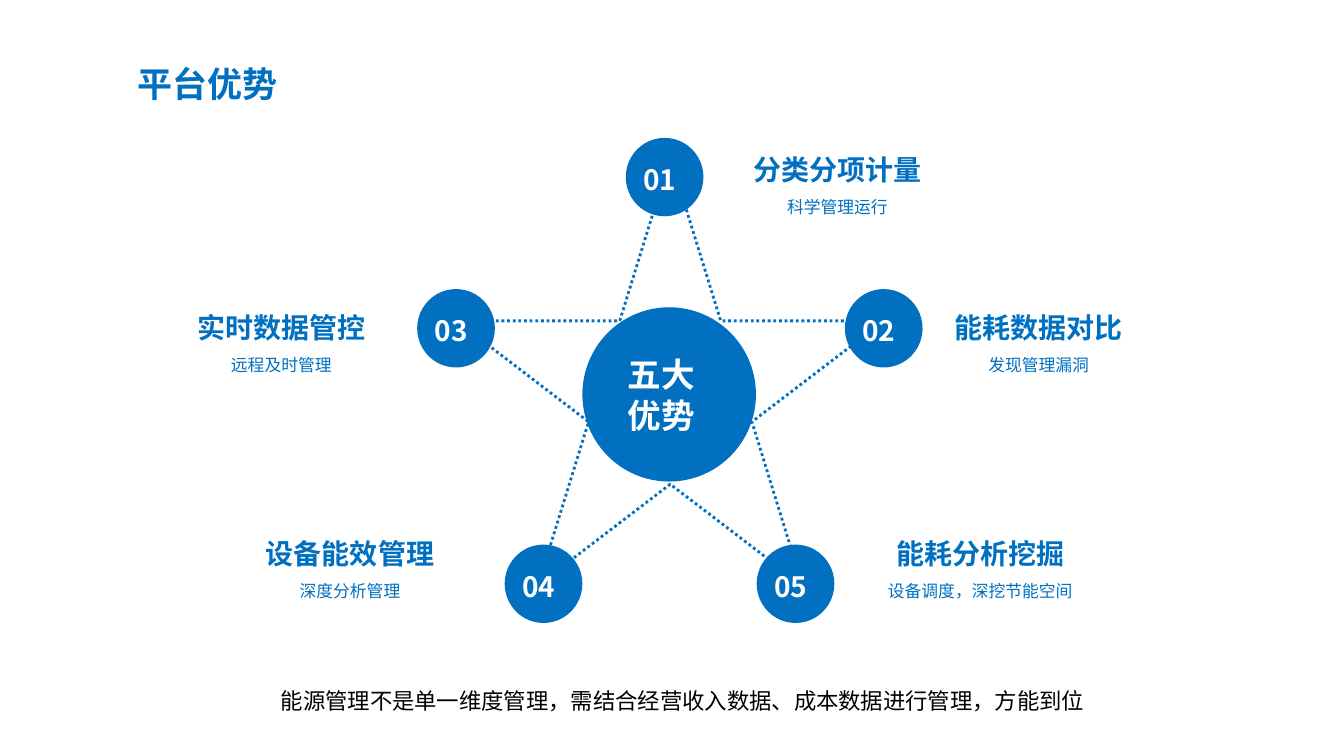
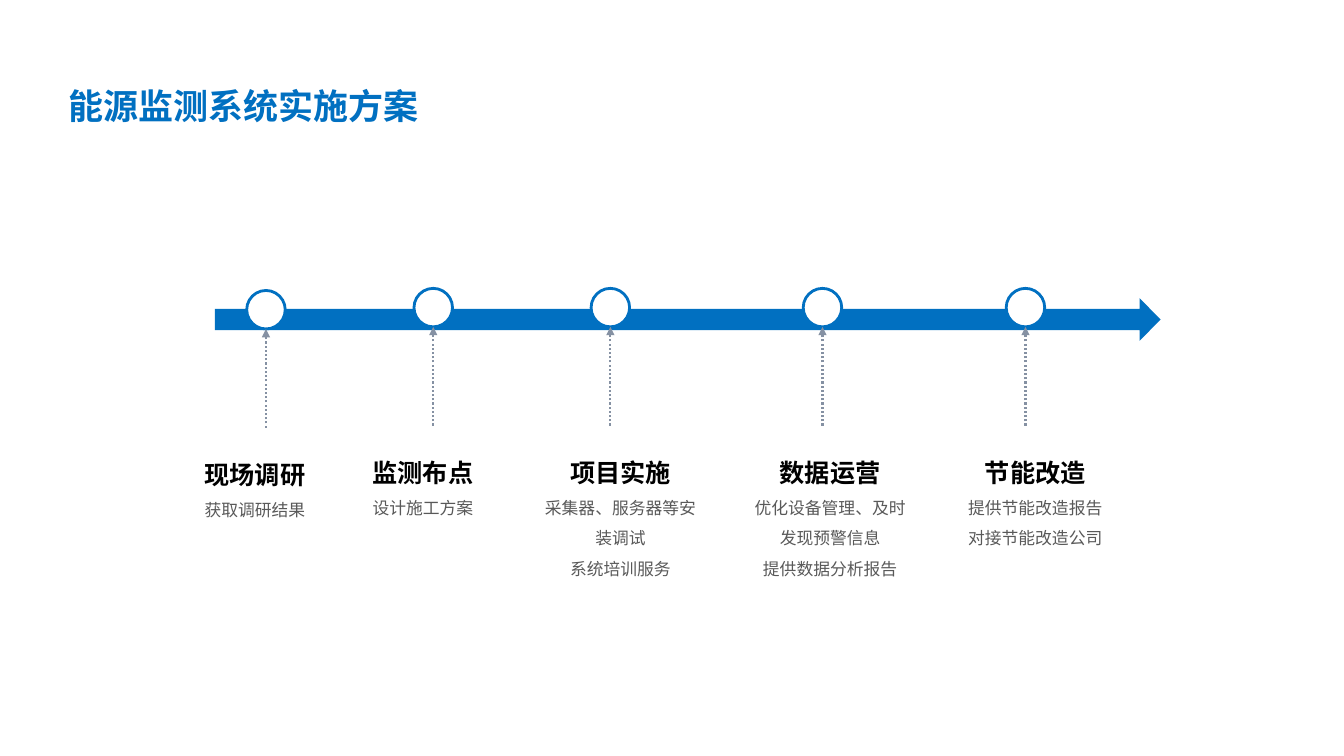
"""Build two slides on an energy management platform: its strengths and its rollout."""
from dataclasses import dataclass
from typing import Any

import lxml.etree
import pptx
import pptx.dml.color
import pptx.enum.dml
import pptx.enum.shapes
import pptx.enum.text
import pptx.oxml.ns
import pptx.shapes.autoshape
import pptx.slide
import pptx.text.text
import pptx.util

Pt = pptx.util.Pt
RGBColor = pptx.dml.color.RGBColor
Shape = pptx.enum.shapes.MSO_SHAPE
Align = pptx.enum.text.PP_ALIGN
Anchor = pptx.enum.text.MSO_ANCHOR
Area = tuple[float, float, float, float]

BLUE = RGBColor(0x01, 0x70, 0xC1)
WHITE = RGBColor(0xFF, 0xFF, 0xFF)
BLACK = RGBColor(0x00, 0x00, 0x00)
GREY = RGBColor(0x59, 0x59, 0x59)
SLATE = RGBColor(0x85, 0x91, 0xA3)
CJK, LATIN, DISPLAY = "Noto Sans CJK SC", "Calibri", "Montserrat"
DOTTED = pptx.enum.dml.MSO_LINE.ROUND_DOT
TITLE_ONLY = 5

BADGE_WIDTH, BADGE_HEIGHT = 55.5, 56
CAPTION_HEIGHT = 65.5
MARKER_SIZE = 27.5
MARKER_TOP = 206
ARROW_LENGTH = 70.5
STEP_CAPTION_DROP = 106.5


@dataclass(frozen=True)
class TextStyle:
    size: float
    color: RGBColor
    font: str = LATIN
    bold: bool = False
    align: Any = Align.CENTER
    spacing: float = 1.0


@dataclass(frozen=True)
class Advantage:
    number: str
    badge: tuple[float, float]
    caption: tuple[float, float, float]
    heading: str
    detail: str


@dataclass(frozen=True)
class Step:
    center: float
    caption_left: float
    caption_width: float
    heading: str
    details: tuple[str, ...]
    align: Any = Align.CENTER
    drop: float = 0


TITLE = TextStyle(25, BLUE, CJK, True, Align.LEFT)
BADGE = TextStyle(20, WHITE, CJK, True)
HUB = TextStyle(24, WHITE, DISPLAY, True)
HEADING = TextStyle(20, BLUE, bold=True, spacing=1.5)
DETAIL = TextStyle(12, BLUE, spacing=1.5)
SUMMARY = TextStyle(16, BLACK, CJK, align=Align.LEFT, spacing=1.2)

ADVANTAGES = (
    Advantage("01", (447, 98.5), (515.5, 93.5, 165.5), "分类分项计量", "科学管理运行"),
    Advantage("02", (603.5, 206.5), (660, 206.5, 164), "能耗数据对比", "发现管理漏洞"),
    Advantage("03", (298, 206.5), (109.5, 206.5, 183), "实时数据管控", "远程及时管理"),
    Advantage("04", (360.5, 389), (145.5, 368, 209), "设备能效管理", "深度分析管理"),
    Advantage("05", (540.5, 389), (603.5, 368, 193.5), "能耗分析挖掘", "设备调度，深挖节能空间"),
)

STEPS = (
    Step(190, 139, 101.5, "现场调研", ("获取调研结果",), Align.LEFT, 1.5),
    Step(309.5, 259, 101.5, "监测布点", ("设计施工方案",), Align.LEFT),
    Step(436, 378, 130.5, "项目实施", ("采集器、服务器等安装调试", "系统培训服务")),
    Step(587.5, 526.5, 133, "数据运营", ("优化设备管理、及时发现预警信息", "提供数据分析报告")),
    Step(732.5, 670.5, 138, "节能改造", ("提供节能改造报告", "对接节能改造公司")),
)


def apply_format(target: Any, values: dict[str, Any]) -> None:
    """Set every named attribute on the target."""
    for name, value in values.items():
        setattr(target, name, value)


def write_lines(frame: pptx.text.text.TextFrame, lines: list[tuple[str, TextStyle]],
                margins: Area = (7.2, 3.6, 7.2, 3.6), anchor: Any = Anchor.MIDDLE,
                wrap: bool = True) -> None:
    """Fill a text frame with one styled paragraph per line."""
    left, top, right, bottom = map(Pt, margins)
    apply_format(frame, {
        "auto_size": pptx.enum.text.MSO_AUTO_SIZE.NONE, "word_wrap": wrap,
        "vertical_anchor": anchor, "margin_left": left, "margin_top": top,
        "margin_right": right, "margin_bottom": bottom})
    for index, (text, style) in enumerate(lines):
        para = frame.add_paragraph() if index else frame.paragraphs[0]
        apply_format(para, {"alignment": style.align, "line_spacing": style.spacing,
                            "space_before": Pt(0)})
        span = para.add_run()
        span.text = text
        apply_format(span.font, {"size": Pt(style.size), "bold": style.bold, "name": style.font})
        span.font.color.rgb = style.color
        east_asian = lxml.etree.SubElement(span.font._element, pptx.oxml.ns.qn("a:ea"))
        east_asian.set("typeface", style.font)


def add_figure(page: pptx.slide.Slide, kind: Any, area: Area, fill: RGBColor | None = None,
               line: RGBColor | None = None) -> pptx.shapes.autoshape.Shape:
    """Add a preset shape without a shadow, with optional fill and outline."""
    figure = page.shapes.add_shape(kind, *map(Pt, area))
    figure.shadow.inherit = False
    if fill is None:
        figure.fill.background()
    else:
        figure.fill.solid()
        figure.fill.fore_color.rgb = fill
    if line is None:
        figure.line.fill.background()
    else:
        figure.line.color.rgb = line
        figure.line.width = Pt(2)
    return figure


def add_text(page: pptx.slide.Slide, area: Area, lines: list[tuple[str, TextStyle]],
             anchor: Any = Anchor.TOP) -> None:
    """Add a wrapping text box."""
    box = page.shapes.add_textbox(*map(Pt, area))
    write_lines(box.text_frame, lines, anchor=anchor)


def add_page(deck: Any, title: str, area: Area) -> pptx.slide.Slide:
    """Add a slide with a formatted title."""
    page = deck.slides.add_slide(deck.slide_layouts[TITLE_ONLY])
    box = page.shapes.title
    apply_format(box, dict(zip(("left", "top", "width", "height"), map(Pt, area))))
    write_lines(box.text_frame, [(title, TITLE)], (8, 3.6, 8, 3.6), wrap=False)
    return page


def add_pointer(page: pptx.slide.Slide, x: float, start: float, end: float) -> None:
    """Add a dotted vertical line with an arrowhead at its end."""
    pointer = page.shapes.add_connector(
        pptx.enum.shapes.MSO_CONNECTOR.STRAIGHT, Pt(x), Pt(start), Pt(x), Pt(end))
    pointer.line.color.rgb = SLATE
    apply_format(pointer.line, {"width": Pt(1.5), "dash_style": DOTTED})
    head = lxml.etree.SubElement(pointer.line._get_or_add_ln(), pptx.oxml.ns.qn("a:tailEnd"))
    head.set("type", "triangle")
    lxml.etree.SubElement(pointer._element.spPr, pptx.oxml.ns.qn("a:effectLst"))


def add_advantage(page: pptx.slide.Slide, item: Advantage) -> None:
    """Add a numbered badge and its caption."""
    badge = add_figure(page, Shape.OVAL, (*item.badge, BADGE_WIDTH, BADGE_HEIGHT), BLUE)
    write_lines(badge.text_frame, [(item.number, BADGE)], (0, 3, 7, 0))
    add_text(page, (*item.caption, CAPTION_HEIGHT),
             [(item.heading, HEADING), (item.detail, DETAIL)])


def add_step(page: pptx.slide.Slide, step: Step) -> None:
    """Add a timeline marker, its pointer and its caption."""
    top = MARKER_TOP + step.drop
    bottom = top + MARKER_SIZE
    add_figure(page, Shape.OVAL,
               (step.center - MARKER_SIZE / 2, top, MARKER_SIZE, MARKER_SIZE), WHITE, BLUE)
    add_pointer(page, step.center, bottom + ARROW_LENGTH, bottom)
    heading = TextStyle(18, BLACK, bold=True, align=step.align, spacing=1.5)
    detail = TextStyle(12, GREY, align=step.align, spacing=1.5)
    height = 38 + 22 * (len(step.details) + 1)
    add_text(page, (step.caption_left, top + STEP_CAPTION_DROP, step.caption_width, height),
             [(step.heading, heading), *((text, detail) for text in step.details)])


def build_advantages(deck: Any) -> None:
    """Draw the star of five advantages."""
    page = add_page(deck, "平台优势", (90, 41, 117, 38))
    star = add_figure(page, Shape.STAR_5_POINT, (326, 112.5, 305.5, 305.5), line=BLUE)
    star.line.dash_style = DOTTED
    hub = add_figure(page, Shape.OVAL, (416, 219.5, 124, 124.5), BLUE)
    write_lines(hub.text_frame, [("五大", HUB), ("优势", HUB)], (0, 0, 11, 0))
    for item in ADVANTAGES:
        add_advantage(page, item)
    add_text(page, (193.5, 483, 632, 31),
             [("能源管理不是单一维度管理，需结合经营收入数据、成本数据进行管理，方能到位", SUMMARY)],
             Anchor.MIDDLE)


def build_rollout(deck: Any) -> None:
    """Draw the rollout timeline."""
    page = add_page(deck, "能源监测系统实施方案", (41, 56, 268.5, 38))
    arrow = add_figure(page, Shape.RIGHT_ARROW, (153.5, 213, 675.5, 30.5), BLUE)
    arrow.adjustments[1] = 0.49
    for step in STEPS:
        add_step(page, step)


def main() -> None:
    """Build and save the deck."""
    deck = pptx.Presentation()
    apply_format(deck, {"slide_width": Pt(960), "slide_height": Pt(540)})
    backdrop = deck.slide_master.background.fill
    backdrop.solid()
    backdrop.fore_color.rgb = WHITE
    build_advantages(deck)
    build_rollout(deck)
    deck.save("out.pptx")


if __name__ == "__main__":
    main()
